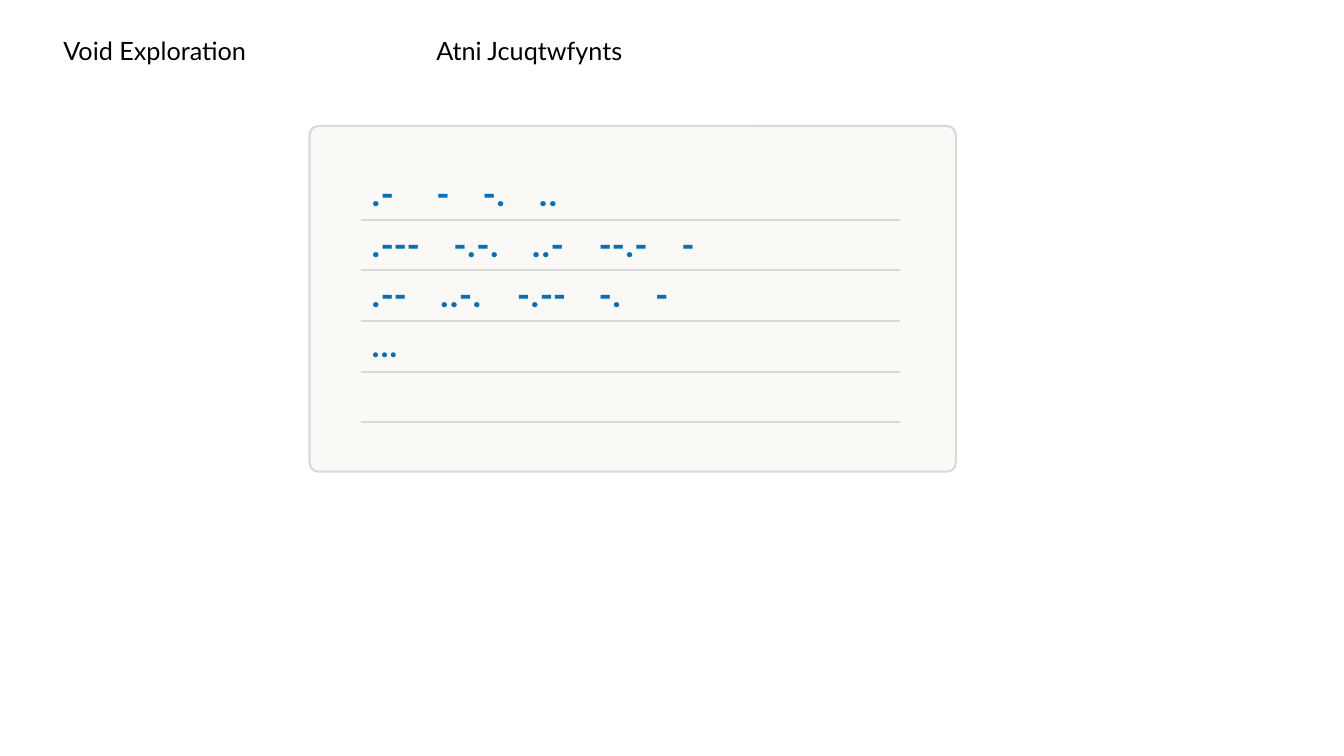
from dataclasses import dataclass

from lxml import etree
from pptx import Presentation, util as u
from pptx.dml.color import RGBColor
from pptx.enum import shapes, text
from pptx.oxml import ns


@dataclass(frozen=True)
class Theme:
    paper: str = "FAF9F6"
    rule: str = "D9D9D9"
    morse: str = "0070C0"
    ink: str = "000000"
    heading_font: str = "Lato"
    morse_font: str = "Roboto"
    dots_font: str = "Calibri"
    heading_size: int = 18
    morse_size: int = 24
    rule_width: float = 1.5


THEME = Theme()
NO_GRID_STYLE = "{2D5ABB26-0587-4C30-8999-92F81FD0307C}"
MORSE_LINES = [
    ([".-", "-", "-.", ".."], [0.65, 1.11, 1.66], THEME.morse_font),
    ([".---", "-.-.", "..-", "--.-", "-"], [0.82, 1.59, 2.26, 3.08], THEME.morse_font),
    ([".--", "..-.", "-.--", "-.", "-"], [0.68, 1.45, 2.26, 2.82], THEME.morse_font),
    (["..."], [], THEME.dots_font),
]
RULED_ROWS = 5
COLUMN_WIDTHS = [0.44, 5.35, 0.47]
ROW_HEIGHTS = [0.48] + [0.5] * 4 + [0.4]


def style_font(font, face, size, color, bold=False):
    font.name, font.size, font.bold = face, u.Pt(size), bold
    font.color.rgb = RGBColor.from_string(color)


def add_heading(slide, box, wording):
    heading = slide.shapes.add_textbox(*map(u.Inches, box)).text_frame
    heading.word_wrap = True
    heading.auto_size = text.MSO_AUTO_SIZE.SHAPE_TO_FIT_TEXT
    line = heading.paragraphs[0]
    line.text = wording
    style_font(line.font, THEME.heading_font, THEME.heading_size, THEME.ink)


def add_card(slide, box):
    card = slide.shapes.add_shape(
        shapes.MSO_SHAPE.ROUNDED_RECTANGLE, *map(u.Inches, box))
    card.adjustments[0] = 0.026
    card.shadow.inherit = False
    card.fill.solid()
    card.fill.fore_color.rgb = RGBColor.from_string(THEME.paper)
    card.line.color.rgb = RGBColor.from_string(THEME.rule)
    card.line.width = u.Pt(THEME.rule_width)


def rule_cell(cell, edges):
    properties = cell._tc.get_or_add_tcPr()
    for position, edge in enumerate(edges):
        border = etree.Element(ns.qn(f"a:{edge}"), w=str(u.Pt(THEME.rule_width)))
        fill = etree.SubElement(border, ns.qn("a:solidFill"))
        etree.SubElement(fill, ns.qn("a:srgbClr"), val=THEME.rule)
        properties.insert(position, border)


def write_morse(cell, letters, stops, face):
    cell.vertical_anchor = text.MSO_ANCHOR.BOTTOM
    line = cell.text_frame.paragraphs[0]
    line.text = "\t".join(letters)
    if stops:
        tabs = etree.SubElement(line._p.get_or_add_pPr(), ns.qn("a:tabLst"))
        for stop in stops:
            etree.SubElement(tabs, ns.qn("a:tab"), pos=str(u.Inches(stop)), algn="l")
    style_font(line.font, face, THEME.morse_size, THEME.morse, bold=True)


def add_morse_sheet(slide, left, top):
    sheet = slide.shapes.add_table(
        len(ROW_HEIGHTS), len(COLUMN_WIDTHS), u.Inches(left), u.Inches(top),
        u.Inches(sum(COLUMN_WIDTHS)), u.Inches(sum(ROW_HEIGHTS))).table
    sheet.first_row = sheet.horz_banding = False
    sheet._tbl.tblPr.find(ns.qn("a:tableStyleId")).text = NO_GRID_STYLE
    for column, width in zip(sheet.columns, COLUMN_WIDTHS):
        column.width = u.Inches(width)
    for row, height in zip(sheet.rows, ROW_HEIGHTS):
        row.height = u.Inches(height)
    for cell in sheet.iter_cells():
        cell.fill.background()
    for row in (1, 3):
        for column in (0, 2):
            sheet.cell(row, column).merge(sheet.cell(row + 1, column))
    sheet.cell(RULED_ROWS, 0).merge(sheet.cell(RULED_ROWS, 2))
    for row in range(RULED_ROWS):
        rule_cell(sheet.cell(row, 1), ["lnT", "lnB"] if row else ["lnB"])
    for row, morse_line in enumerate(MORSE_LINES):
        write_morse(sheet.cell(row, 1), *morse_line)


def main():
    deck = Presentation()
    deck.slide_width, deck.slide_height = u.Inches(13.33), u.Inches(7.5)
    slide = deck.slides.add_slide(deck.slide_layouts[6])
    add_card(slide, (3.07, 1.25, 6.41, 3.43))
    add_morse_sheet(slide, 3.14, 1.69)
    add_heading(slide, (0.53, 0.3, 6.67, 0.4), "Void Exploration")
    add_heading(slide, (4.23, 0.3, 2.44, 0.4), "Atni Jcuqtwfynts")
    deck.save("out.pptx")


if __name__ == "__main__":
    main()
